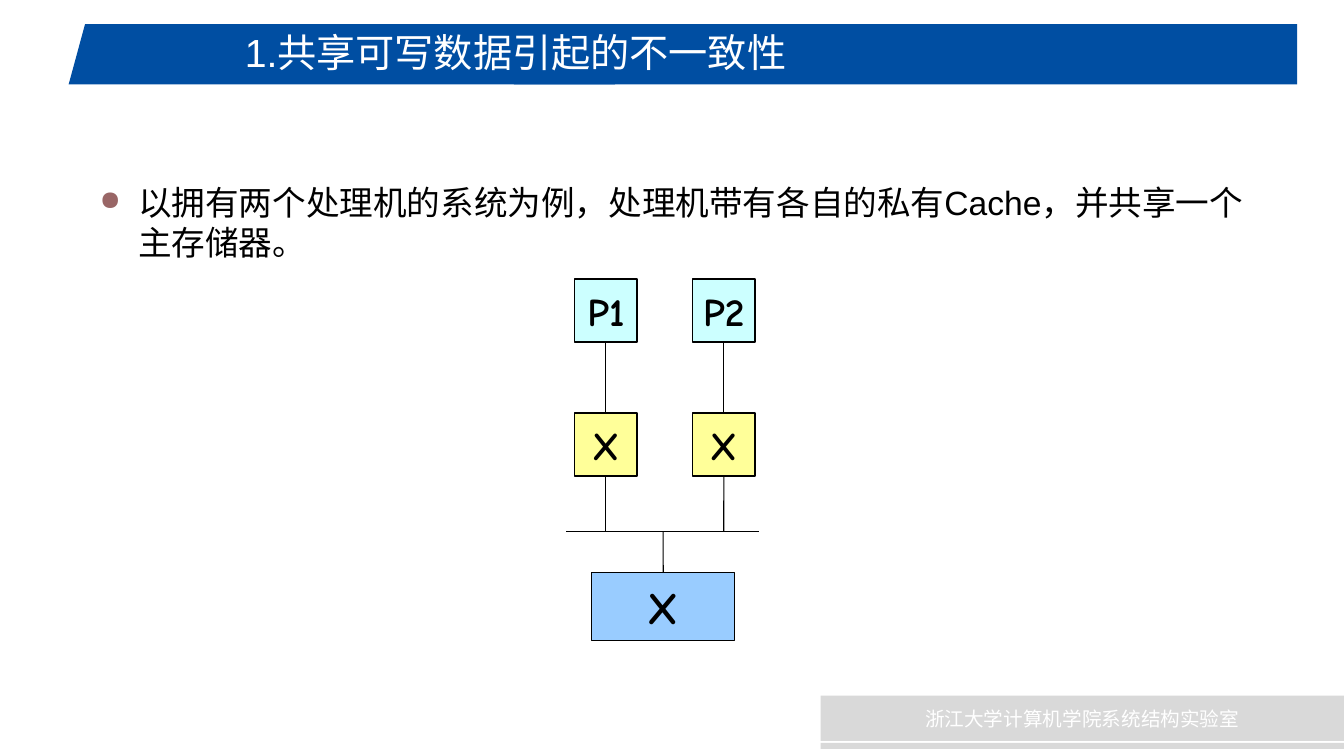
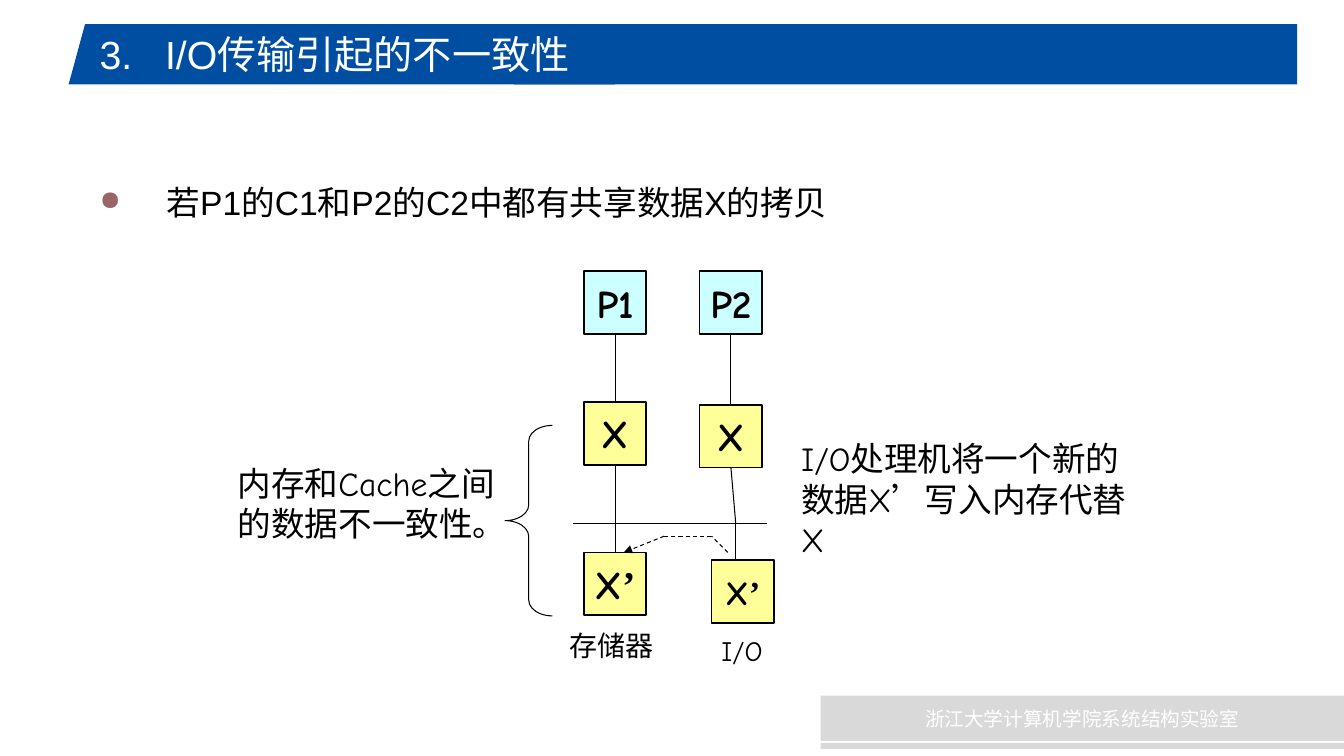
from lxml import etree
from pptx import Presentation
from pptx.dml.color import RGBColor
from pptx.enum import dml, shapes, text
from pptx.oxml import ns
from pptx.util import Cm, Pt

SHAPE = shapes.MSO_SHAPE
TOP, BOTTOM = 0, 2
BOX = 1.58
ROW_PITCH = 3.37


def rgb(code):
    return RGBColor.from_string(code)


def add_xml(parent, tag, **attrs):
    return etree.SubElement(parent, ns.qn(tag), attrs)


class Deck:
    BLUE, GREY, WHITE, BLACK = "004EA2", "D9D9D9", "FFFFFF", "000000"
    CYAN, YELLOW, SKY, BULLET = "CCFFFF", "FFFF99", "99CCFF", "996666"
    SANS, CJK, HAND, QUOTE = "Arial", "Noto Sans CJK SC", "Comic Neue", "Times New Roman"

    def __init__(self):
        self.prs = Presentation()
        self.prs.slide_width, self.prs.slide_height = Cm(33.87), Cm(19.05)
        self.s = None

    def new_slide(self, title, left, top, indent=0):
        """Start a slide with its title band and footer."""
        self.s = self.prs.slides.add_slide(self.prs.slide_layouts[6])
        band = self.shape(SHAPE.TRAPEZOID, 1.73, 0.61, 13.77, 1.52, self.BLUE)
        band.adjustments[0] = 0.273
        self.shape(SHAPE.RECTANGLE, 12.95, 0.61, 19.74, 1.52, self.BLUE)
        footer = self.shape(SHAPE.RECTANGLE, 20.68, 17.53, 13.19, 1.14, self.GREY)
        self.put_text(footer, "浙江大学计算机学院系统结构实验室", 14, self.CJK, self.WHITE, center=True)
        self.shape(SHAPE.RECTANGLE, 20.68, 18.72, 13.19, 0.15, self.GREY)
        self.label(title, left, top, 21.11, 2.54, 28, self.SANS, self.WHITE, indent=indent)

    def shape(self, kind, x, y, w, h, fill=None, line=None):
        sp = self.s.shapes.add_shape(kind, Cm(x), Cm(y), Cm(w), Cm(h))
        sp.shadow.inherit = False
        if fill:
            sp.fill.solid()
            sp.fill.fore_color.rgb = rgb(fill)
        else:
            sp.fill.background()
        if line:
            sp.line.color.rgb = rgb(self.BLACK)
            sp.line.width = Pt(line)
        else:
            sp.line.fill.background()
        return sp

    def put_text(self, sp, words, size, font, color, bold=False, center=False, indent=0, bullet=False):
        """Fill a shape with one paragraph; the prime mark has its own font."""
        p = sp.text_frame.paragraphs[0]
        p.alignment = text.PP_ALIGN.CENTER if center else text.PP_ALIGN.LEFT
        pPr = p._p.get_or_add_pPr()
        if indent:
            pPr.set("marL", str(Cm(indent)))
            pPr.set("indent", str(-Cm(indent)))
        if bullet:
            add_xml(add_xml(pPr, "a:buClr"), "a:srgbClr", val=self.BULLET)
            add_xml(pPr, "a:buSzPct", val="80000")
            add_xml(pPr, "a:buChar", char="●")
        p.font.size, p.font.bold, p.font.name = Pt(size), bold, font
        p.font.color.rgb = rgb(color)
        for part in filter(None, words.partition("’")):
            r = p.add_run()
            r.text = part
            if part == "’":
                r.font.name = self.QUOTE

    def label(self, words, x, y, w, h, size, font=HAND, color=BLACK, wrap=True, **style):
        sp = self.s.shapes.add_textbox(Cm(x), Cm(y), Cm(w), Cm(h))
        sp.text_frame.word_wrap = wrap
        self.put_text(sp, words, size, font, color, **style)

    def bullet(self, words, indent):
        self.label(words, 2.26, 4.45, 29.36, 2.4, 24, self.SANS, indent=indent, bullet=True)

    def box(self, words, x, y, fill, w=BOX, h=BOX, size=28, line=1.25):
        sp = self.shape(SHAPE.RECTANGLE, x, y, w, h, fill, line)
        sp.text_frame.word_wrap = False
        self.put_text(sp, words, size, self.HAND, self.BLACK, bold=True, center=True)
        return sp

    def line(self, start, end, dashed=False, arrow=False):
        """Connect two ends, each a point in cm or a (shape, side) pair."""
        points = [(0, 0) if hasattr(e[0], "shape_id") else e for e in (start, end)]
        c = self.s.shapes.add_connector(
            shapes.MSO_CONNECTOR.STRAIGHT, *(Cm(v) for point in points for v in point))
        for e, join in ((start, c.begin_connect), (end, c.end_connect)):
            if hasattr(e[0], "shape_id"):
                join(*e)
        c.line.color.rgb = rgb(self.BLACK)
        c.line.width = Pt(0.75)
        if dashed:
            c.line.dash_style = dml.MSO_LINE.DASH
        if arrow:
            add_xml(c._element.spPr.get_or_add_ln(), "a:tailEnd", type="triangle")
        add_xml(c._element.spPr, "a:effectLst")

    def processor(self, name, x, y, cache_y):
        """Draw a processor above its cache and return the cache."""
        cpu = self.box(name, x, y, self.CYAN)
        cache = self.box("X", x, cache_y, self.YELLOW)
        self.line((cpu, BOTTOM), (cache, TOP))
        return cache


def shared_data_slide(deck):
    deck.new_slide("1.共享可写数据引起的不一致性", 5.92, 0.58)
    deck.bullet("以拥有两个处理机的系统为例，处理机带有各自的私有Cache，并共享一个主存储器。", 0.97)
    top, bus_y = 7.04, 13.39
    for name, x in (("P1", 14.48), ("P2", 17.45)):
        cache = deck.processor(name, x, top, top + ROW_PITCH)
        deck.line((cache, BOTTOM), (x + BOX / 2, bus_y))
    deck.line((14.27, bus_y), (19.13, bus_y))
    memory = deck.box("X", 14.91, 14.43, deck.SKY, w=3.61, h=1.7, size=32, line=0.75)
    deck.line((16.71, bus_y), (memory, TOP))


def io_transfer_slide(deck):
    deck.new_slide("3.\tI/O传输引起的不一致性", 2.26, 0.64, indent=1.65)
    deck.bullet("若P1的C1和P2的C2中都有共享数据X的拷贝", 1.69)
    top, bus_y, left = 6.83, 13.18, 14.71
    cache1 = deck.processor("P1", left, top, 10.13)
    cache2 = deck.processor("P2", 17.63, top, top + ROW_PITCH)
    memory = deck.box("X’", left, 13.92, deck.YELLOW)
    deck.box("X’", 17.93, 14.12, deck.YELLOW, size=24)
    deck.line((14.45, bus_y), (19.33, bus_y))
    deck.line((cache1, BOTTOM), (memory, TOP))
    deck.line((cache2, BOTTOM), (18.54, bus_y))
    deck.line((18.54, bus_y), (18.54, 14.12))

    route = [(18.34, 13.92), (17.93, 13.51), (16.74, 13.51), (15.72, 13.92)]
    for start, end in zip(route, route[1:]):
        deck.line(start, end, dashed=True, arrow=end == route[-1])

    deck.label("存储器", 14.1, 15.72, 2.62, 1.09, 20, wrap=False)
    deck.label("I/O", 17.93, 15.85, 1.83, 1.09, 20, wrap=False)
    deck.label("I/O处理机将一个新的数据X’写入内存代替X", 19.94, 10.92, 8.99, 3.3, 24)
    deck.label("内存和Cache之间的数据不一致性。", 5.74, 11.53, 7.01, 3.33, 24)
    brace = deck.shape(SHAPE.LEFT_BRACE, 12.73, 10.72, 1.19, 4.8, line=0.75)
    brace.adjustments[0] = 0.334


def main():
    deck = Deck()
    shared_data_slide(deck)
    io_transfer_slide(deck)
    deck.prs.save("out.pptx")


if __name__ == "__main__":
    main()
